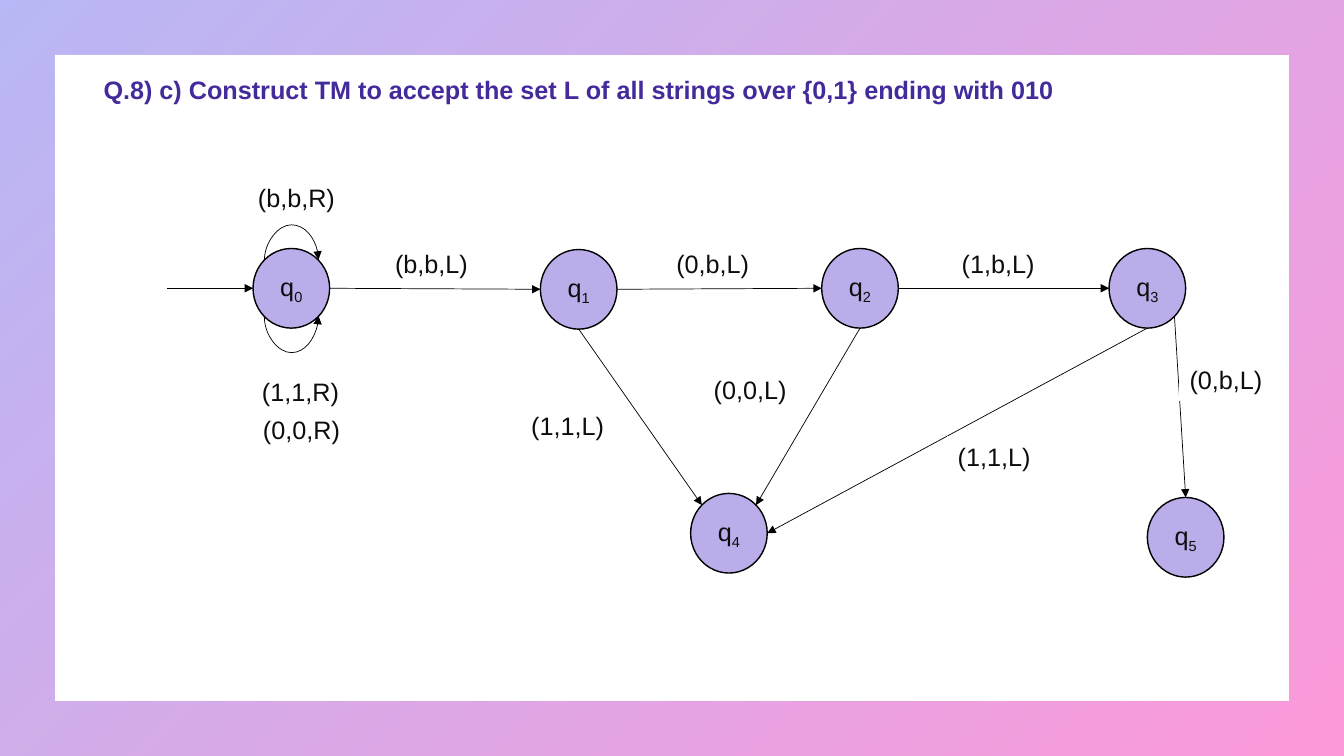
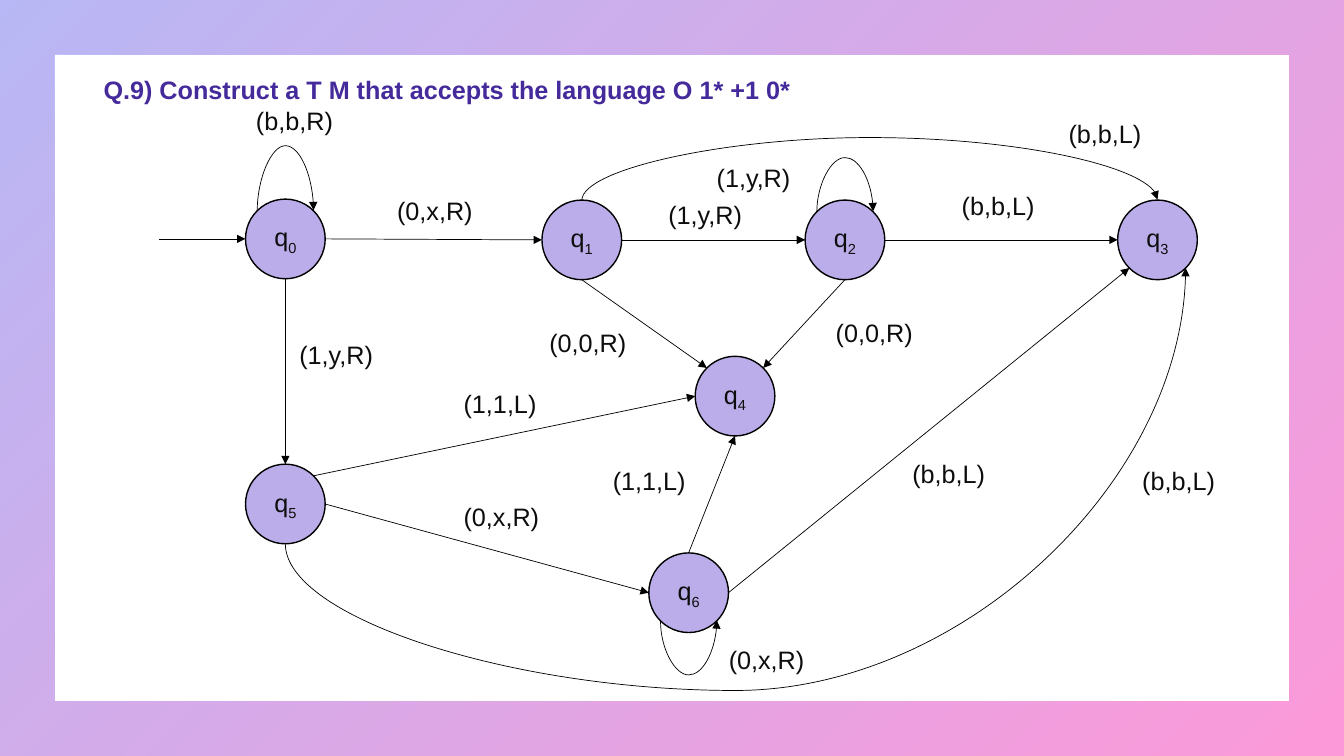
from math import cos, radians, sin

from lxml.etree import SubElement
from pptx import Presentation
from pptx.dml.color import RGBColor
from pptx.enum.dml import MSO_LINE
from pptx.enum.shapes import MSO_CONNECTOR, MSO_SHAPE
from pptx.enum.text import MSO_ANCHOR, PP_ALIGN
from pptx.oxml.ns import qn
from pptx.util import Inches, Pt

WIDE, HIGH = 13.33, 7.5
FONT, SIZE = "Arial", 18
WHITE, BLACK, INK = "FFFFFF", "000000", "0D0D0D"
LILAC, VIOLET = "BBADE9", "442A9B"
BLUE, PINK = "4D4EE6", "F900A0"

# Ports of a circle, counted anticlockwise from the top
N, NW, W, SW, S, SE, E, NE = range(8)

# Content. states: centre x, y; arrows: from, port, to, port;
# arcs: the same and the height of the turn; labels: text, left, top
SLIDES = [
    {
        "title": "Q.8) c) Construct TM to accept the set L of all strings over {0,1} ending with 010",
        "size": (0.76, 0.79),
        "entry": 1.66,
        "states": [(2.89, 2.86), (5.74, 2.87), (8.53, 2.86),
                   (11.38, 2.86), (7.23, 5.29), (11.76, 5.33)],
        "arrows": [(0, E, 1, W), (1, E, 2, W), (2, E, 3, W), (3, SE, 5, N),
                   (3, S, 4, E), (2, S, 4, NE), (1, S, 4, NW)],
        "arcs": [(0, NW, 0, NE, 2.22), (0, SW, 0, SE, 3.5)],
        "labels": [("(b,b,R)", 2.46, 1.76), ("(1,1,R)", 2.5, 3.68),
                   ("(0,0,R)", 2.51, 4.06), ("(b,b,L)", 3.82, 2.41),
                   ("(1,1,L)", 5.17, 4.02), ("(0,0,L)", 6.98, 3.66),
                   ("(0,b,L)", 6.61, 2.41), ("(1,b,L)", 9.44, 2.41),
                   ("(1,1,L)", 9.4, 4.33), ("(0,b,L)", 11.7, 3.57)],
    },
    {
        "title": "Q.9) Construct a T M that accepts the language O 1* +1 0*",
        "size": (0.79, 0.79),
        "entry": 1.58,
        "states": [(2.83, 2.37), (5.77, 2.38), (8.38, 2.38), (11.48, 2.38),
                   (7.29, 3.93), (2.83, 5), (6.83, 5.88)],
        "arrows": [(0, E, 1, W), (1, E, 2, W), (2, E, 3, W), (1, S, 4, NW),
                   (0, S, 5, N), (5, E, 6, W), (5, NE, 4, W), (6, E, 3, SW),
                   (2, S, 4, NE), (6, N, 4, S)],
        "arcs": [(0, NW, 0, NE, 1.43), (2, NW, 2, NE, 1.55), (1, N, 3, N, 1.35),
                 (6, SW, 6, SE, 6.7), (5, S, 3, SE, 6.85)],
        "labels": [("(b,b,R)", 2.44, 1), ("(0,x,R)", 3.84, 1.89),
                   ("(1,y,R)", 6.53, 1.93), ("(1,y,R)", 7.01, 1.56),
                   ("(b,b,L)", 10.5, 1.12), ("(b,b,L)", 9.44, 1.84),
                   ("(b,b,L)", 8.95, 4.5), ("(b,b,L)", 11.23, 4.57),
                   ("(0,x,R)", 7.13, 6.34), ("(1,1,L)", 5.98, 4.57),
                   ("(0,0,R)", 5.35, 3.2), ("(1,y,R)", 2.87, 3.32),
                   ("(0,x,R)", 4.5, 4.92), ("(1,1,L)", 4.5, 3.8),
                   ("(0,0,R)", 8.19, 3.1)],
    },
]


def tint(code):
    return RGBColor.from_string(code)


def add_box(page, kind, at, fill=None, line=None, width=1):
    """Add a preset shape with plain fill and line."""
    box = page.shapes.add_shape(kind, *map(Inches, at))
    box.shadow.inherit = False
    if fill:
        box.fill.solid()
        box.fill.fore_color.rgb = tint(fill)
    else:
        box.fill.background()
    if line:
        box.line.color.rgb = tint(line)
        box.line.width = Pt(width)
    else:
        box.line.fill.background()
    return box


def write(box, parts, align, anchor, ink=INK, bold=False):
    """Put runs of text into a shape; a second run is a subscript."""
    frame = box.text_frame
    frame.word_wrap = True
    frame.vertical_anchor = anchor
    para = frame.paragraphs[0]
    para.alignment = align
    for i, part in enumerate(parts):
        run = para.add_run()
        run.text = part
        run.font.name, run.font.size = FONT, Pt(SIZE)
        run.font.bold = bold
        run.font.color.rgb = tint(ink)
        if i:
            run._r.get_or_add_rPr().set("baseline", "-25000")


def add_base(page, title):
    """Add the tinted frame and the title."""
    rim = add_box(page, MSO_SHAPE.FRAME, (0, 0, WIDE, HIGH))
    rim.adjustments[0] = 0.072
    rim.fill.gradient()
    rim.fill.gradient_angle = 315
    for stop, code, place in zip(rim.fill.gradient_stops, (BLUE, PINK), (0, 1)):
        stop.color.rgb = tint(code)
        stop.position = place
    for node in rim._element.spPr.iter(qn("a:srgbClr")):
        SubElement(node, qn("a:alpha")).set("val", "40000")

    head = add_box(page, MSO_SHAPE.ROUNDED_RECTANGLE, (0.91, 0.69, 11.47, 0.39),
                   line=WHITE, width=1.5)
    head.line.dash_style = MSO_LINE.LONG_DASH
    write(head, [title], PP_ALIGN.JUSTIFY, MSO_ANCHOR.MIDDLE, VIOLET, True)


def port_at(mid, size, port):
    turn = radians(90 + 45 * port)
    return mid[0] + size[0] / 2 * cos(turn), mid[1] - size[1] / 2 * sin(turn)


def add_link(page, kind, start, end, ties):
    """Add a thin arrow, tied to the ports it touches."""
    link = page.shapes.add_connector(kind, *map(Inches, (*start, *end)))
    link.line.color.rgb = tint(BLACK)
    link.line.width = Pt(0.5)
    spot = link._element.spPr
    SubElement(spot.find(qn("a:ln")), qn("a:tailEnd")).set("type", "triangle")
    SubElement(spot, qn("a:effectLst"))
    hooks = link._element.find(".//" + qn("p:cNvCxnSpPr"))
    for tag, ball, port in ties:
        hook = SubElement(hooks, qn(tag))
        hook.set("id", str(ball.shape_id))
        hook.set("idx", str(port))
    return link


def bend(link, start, end, peak):
    """Turn a curved connector into an arc that turns at height peak."""
    (x1, y1), (x2, y2) = start, end
    rise, span = max(y1 - y2, 0.01), x2 - x1
    link.left, link.top = Inches((x1 + x2 - rise) / 2), Inches((y1 + y2 - span) / 2)
    link.width, link.height = Inches(rise), Inches(span)
    spot = link._element.spPr
    form = spot.find(qn("a:xfrm"))
    for key, val in (("rot", "5400000"), ("flipH", "1"), ("flipV", "1")):
        form.set(key, val)
    guide = SubElement(spot.find(".//" + qn("a:avLst")), qn("a:gd"))
    guide.set("name", "adj1")
    guide.set("fmla", f"val {round((y1 - peak) / rise * 100000)}")


def add_graph(page, data):
    """Add the states, then arrows, arcs and labels."""
    size, mids = data["size"], data["states"]
    balls = []
    for i, (x, y) in enumerate(mids):
        at = (x - size[0] / 2, y - size[1] / 2, *size)
        ball = add_box(page, MSO_SHAPE.OVAL, at, LILAC, BLACK)
        write(ball, ["q", str(i)], PP_ALIGN.CENTER, MSO_ANCHOR.MIDDLE)
        balls.append(ball)

    goal = port_at(mids[0], size, W)
    add_link(page, MSO_CONNECTOR.STRAIGHT, (data["entry"], goal[1]), goal,
             [("a:endCxn", balls[0], W)])
    for a, out, b, into, *peak in data["arrows"] + data["arcs"]:
        start, end = port_at(mids[a], size, out), port_at(mids[b], size, into)
        kind = MSO_CONNECTOR.CURVE if peak else MSO_CONNECTOR.STRAIGHT
        link = add_link(page, kind, start, end,
                        [("a:stCxn", balls[a], out), ("a:endCxn", balls[b], into)])
        if peak:
            bend(link, start, end, peak[0])

    for text, x, y in data["labels"]:
        tag = add_box(page, MSO_SHAPE.RECTANGLE, (x, y, 1, 0.4), WHITE, WHITE, 0.75)
        write(tag, [text], PP_ALIGN.LEFT, MSO_ANCHOR.TOP)


def main():
    deck = Presentation()
    deck.slide_width, deck.slide_height = Inches(WIDE), Inches(HIGH)
    for data in SLIDES:
        page = deck.slides.add_slide(deck.slide_layouts[6])
        add_base(page, data["title"])
        add_graph(page, data)
    deck.save("out.pptx")


if __name__ == "__main__":
    main()
